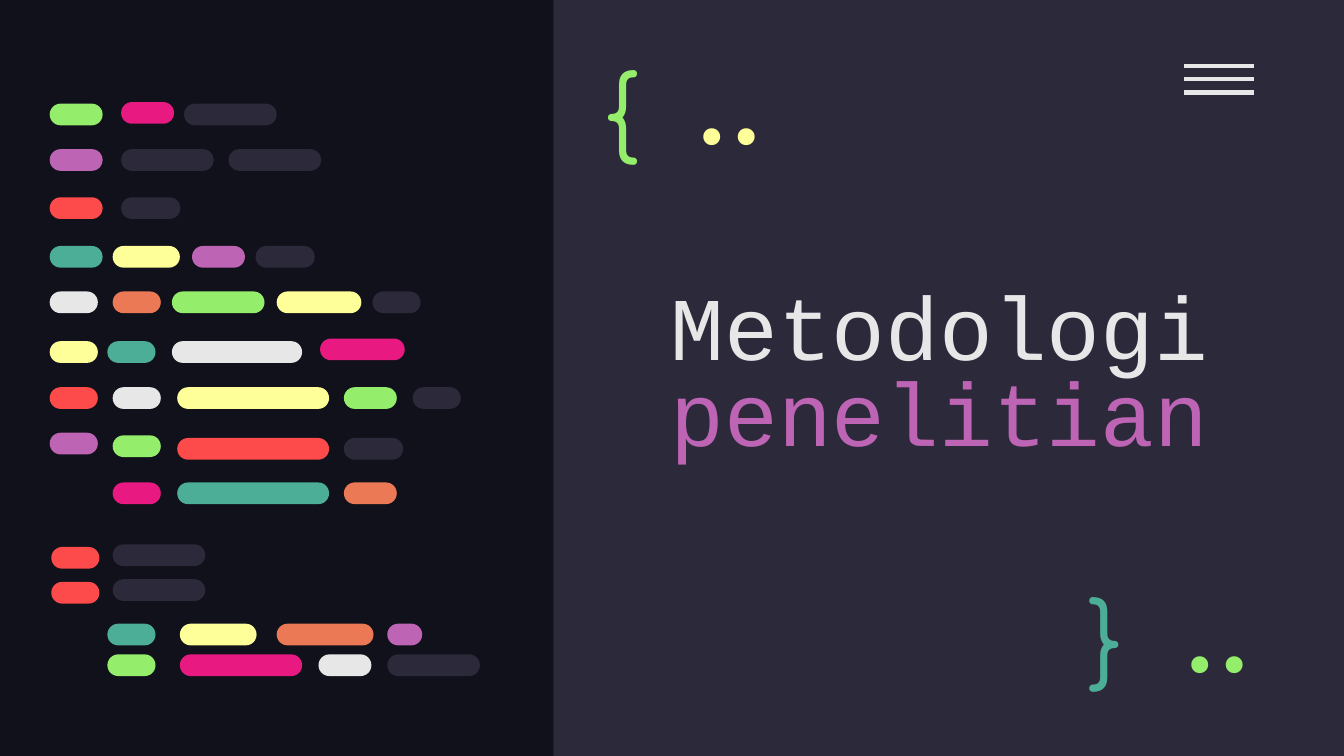
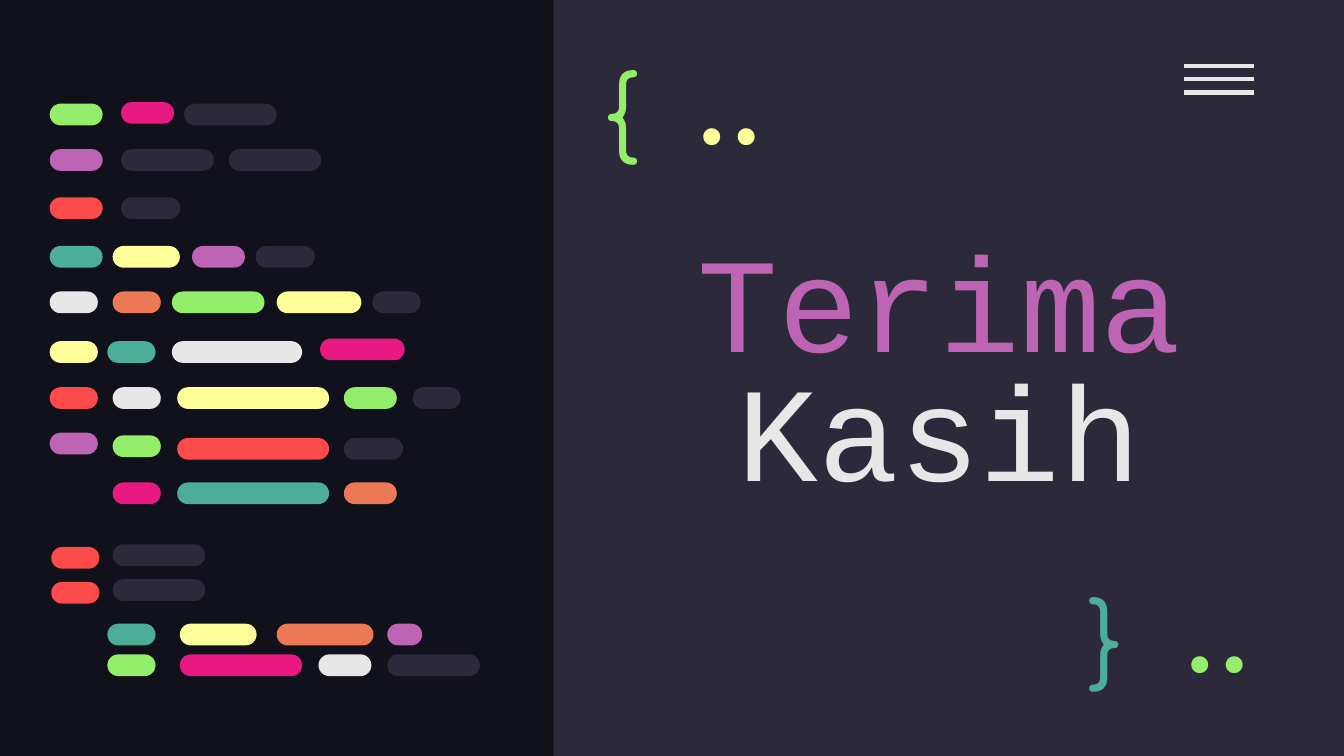
from dataclasses import dataclass

from lxml.etree import SubElement
from pptx import Presentation
from pptx.dml.color import RGBColor
from pptx.enum.shapes import MSO_CONNECTOR as Connector, MSO_SHAPE as Shape
from pptx.enum.text import MSO_ANCHOR as Anchor, PP_ALIGN as Align
from pptx.oxml.ns import qn
from pptx.util import Cm, Pt


@dataclass(frozen=True)
class Theme:
    night: str = "10111A"
    slate: str = "2C293A"
    white: str = "E7E7E7"
    green: str = "94EE6B"
    pink: str = "E81A81"
    purple: str = "BD64B5"
    red: str = "FD4A4A"
    teal: str = "4CAE97"
    yellow: str = "FFFF99"
    orange: str = "EC7955"
    title_font: str = "Courier New"
    brace_font: str = "Comfortaa"
    dots_font: str = "Fira Code"
    cover_size: int = 48
    closing_size: int = 72
    symbol_size: int = 50


THEME = Theme()
WIDTH, HEIGHT = 25.4, 14.29
PANEL_LEFT = 10.46
TOKEN_HEIGHT = 0.41

# Mock code: top of each line, then (left, width, colour) of its tokens, in cm.
CODE_LINES = [
    (1.96, [(0.94, 1, "green"), (3.48, 1.75, "slate")]),
    (1.93, [(2.29, 1, "pink")]),
    (2.82, [(0.94, 1, "purple"), (2.29, 1.75, "slate"), (4.32, 1.75, "slate")]),
    (3.73, [(0.94, 1, "red"), (2.29, 1.12, "slate")]),
    (4.65, [(0.94, 1, "teal"), (2.13, 1.27, "yellow"), (3.63, 1, "purple"),
            (4.83, 1.12, "slate")]),
    (5.51, [(0.94, 0.91, "white"), (2.13, 0.91, "orange"), (3.25, 1.75, "green"),
            (5.23, 1.6, "yellow"), (7.04, 0.91, "slate")]),
    (6.45, [(0.94, 0.91, "yellow"), (2.03, 0.91, "teal"), (3.25, 2.46, "white")]),
    (6.4, [(6.05, 1.6, "pink")]),
    (7.32, [(0.94, 0.91, "red"), (2.13, 0.91, "white"), (3.35, 2.87, "yellow"),
            (6.5, 1, "green"), (7.8, 0.91, "slate")]),
    (8.18, [(0.94, 0.91, "purple")]),
    (8.23, [(2.13, 0.91, "green")]),
    (8.28, [(3.35, 2.87, "red"), (6.5, 1.12, "slate")]),
    (9.12, [(2.13, 0.91, "pink"), (3.35, 2.87, "teal"), (6.5, 1, "orange")]),
    (10.29, [(2.13, 1.75, "slate")]),
    (10.34, [(0.97, 0.91, "red")]),
    (10.95, [(2.13, 1.75, "slate")]),
    (11, [(0.97, 0.91, "red")]),
    (11.79, [(2.03, 0.91, "teal"), (3.4, 1.45, "yellow"), (5.23, 1.83, "orange"),
             (7.32, 0.66, "purple")]),
    (12.37, [(2.03, 0.91, "green"), (3.4, 2.31, "pink"), (6.02, 1, "white"),
             (7.32, 1.75, "slate")]),
]


class Deck:
    def __init__(self, theme):
        self.theme = theme
        self.presentation = Presentation()
        self.presentation.slide_width = Cm(WIDTH)
        self.presentation.slide_height = Cm(HEIGHT)
        self.slide = None

    def color(self, name):
        return RGBColor.from_string(getattr(self.theme, name))

    def new_slide(self):
        blank = self.presentation.slide_layouts[6]
        self.slide = self.presentation.slides.add_slide(blank)
        background = self.slide.background.fill
        background.solid()
        background.fore_color.rgb = self.color("night")

    def block(self, shapes, kind, box, color):
        block = shapes.add_shape(kind, *map(Cm, box))
        block.shadow.inherit = False
        block.fill.solid()
        block.fill.fore_color.rgb = self.color(color)
        block.line.fill.background()
        return block

    def panel(self):
        self.block(self.slide.shapes, Shape.RECTANGLE,
                   (PANEL_LEFT, 0, WIDTH - PANEL_LEFT, HEIGHT), "slate")

    def menu_icon(self):
        icon = self.slide.shapes.add_group_shape().shapes
        for index in range(3):
            y = Cm(1.25 + 0.25 * index)
            bar = icon.add_connector(Connector.STRAIGHT, Cm(22.38), y, Cm(23.7), y)
            bar.line.color.rgb = self.color("white")
            bar.line.width = Pt(2.25)
            SubElement(bar.line._ln.getparent(), qn("a:effectLst"))

    def mock_code(self):
        code = self.slide.shapes.add_group_shape().shapes
        for top, tokens in CODE_LINES:
            for left, width, color in tokens:
                token = self.block(code, Shape.ROUNDED_RECTANGLE,
                                   (left, top, width, TOKEN_HEIGHT), color)
                token.adjustments[0] = 0.5

    def text(self, box, runs, font, size, align=Align.LEFT, anchor=Anchor.MIDDLE):
        """Add one paragraph made of (words, colour) runs and return it."""
        frame = self.slide.shapes.add_textbox(*map(Cm, box)).text_frame
        frame.word_wrap = True
        frame.vertical_anchor = anchor
        frame.margin_left = frame.margin_right = Cm(0.25)
        frame.margin_top = frame.margin_bottom = Cm(0.25)
        paragraph = frame.paragraphs[0]
        paragraph.alignment = align
        paragraph.font.name = font
        paragraph.font.size = Pt(size)
        for words, color in runs:
            run = paragraph.add_run()
            run.text = words
            run.font.color.rgb = self.color(color)
        return paragraph

    def title(self, runs, size):
        heading = self.text((12.09, 3.63, 11.33, 7.04), runs,
                            self.theme.title_font, size, Align.CENTER)
        heading.line_spacing = 0.8

    def brace(self, box, symbol, color):
        self.text(box, [(symbol, color)], self.theme.brace_font,
                  self.theme.symbol_size, anchor=Anchor.TOP)

    def dots(self, left, top, color):
        self.text((left, top, 2.72, 1.52), [("..", color)], self.theme.dots_font,
                  self.theme.symbol_size, Align.RIGHT)

    def title_slide(self, runs, size):
        self.new_slide()
        self.panel()
        self.menu_icon()
        self.title(runs, size)
        self.mock_code()
        self.brace((11.15, 0.69, 1.96, 2.41), "{", "green")
        self.brace((20.32, 10.67, 1.45, 2.11), "}", "teal")
        self.dots(21.62, 11.25, "green")
        self.dots(12.4, 1.27, "yellow")


def main():
    deck = Deck(THEME)
    deck.title_slide([("Metodologi ", "white"), ("penelitian", "purple")],
                     THEME.cover_size)
    deck.title_slide([("Terima ", "purple"), ("Kasih", "white")],
                     THEME.closing_size)
    deck.presentation.save("out.pptx")


if __name__ == "__main__":
    main()
